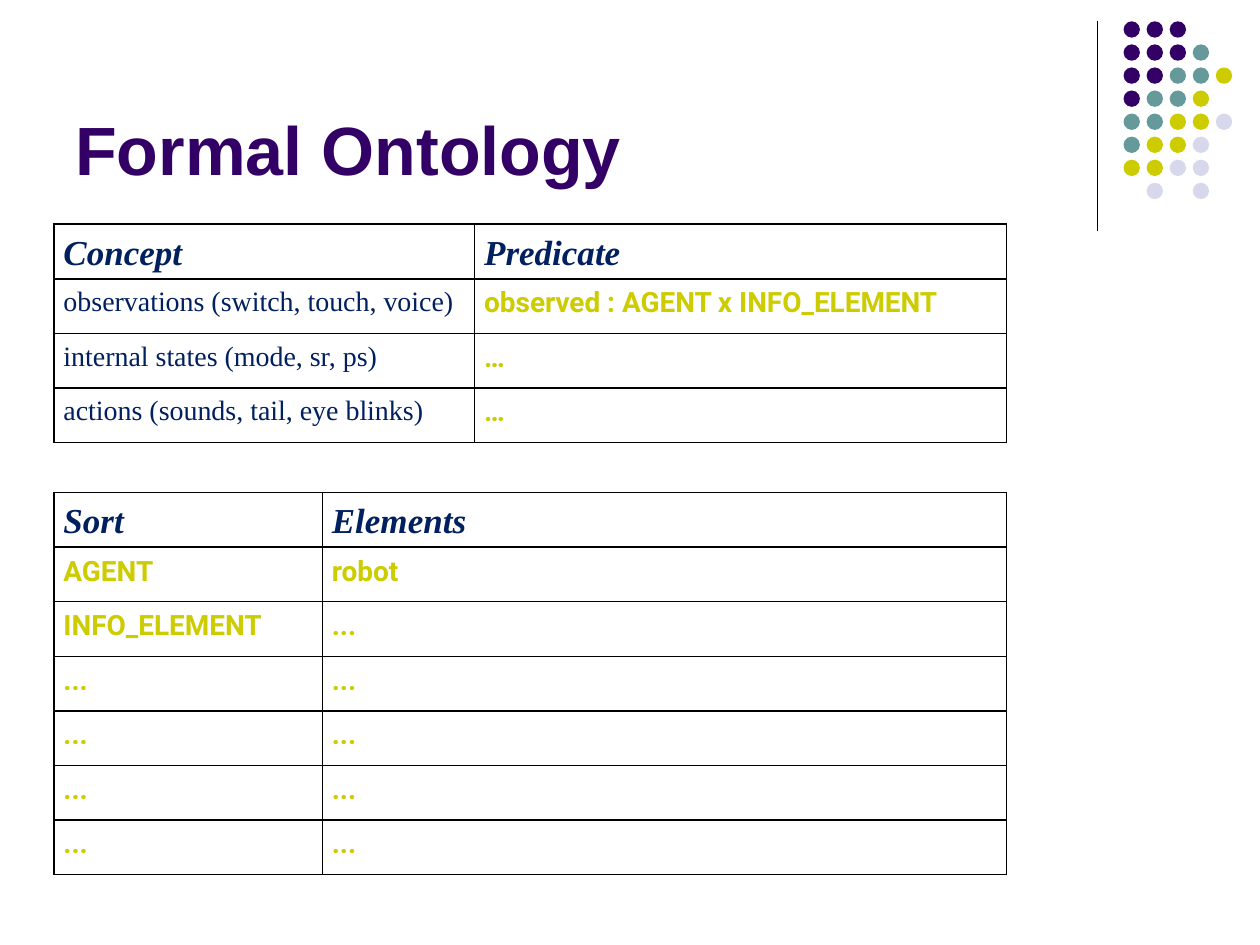
from lxml.etree import SubElement
from pptx import Presentation
from pptx.dml.color import RGBColor
from pptx.enum.shapes import MSO_CONNECTOR, MSO_SHAPE
from pptx.enum.text import MSO_ANCHOR, PP_ALIGN
from pptx.oxml.ns import qn
from pptx.util import Cm, Pt

PURPLE = RGBColor(0x33, 0x00, 0x66)
TEAL = RGBColor(0x66, 0x99, 0x99)
LIME = RGBColor(0xCC, 0xCC, 0x00)
LAVENDER = RGBColor(0xD8, 0xD8, 0xEC)
NAVY = RGBColor(0x00, 0x20, 0x60)
BLACK = RGBColor(0x00, 0x00, 0x00)

HEADING = {"name": "Times New Roman", "size": Pt(20), "bold": True, "italic": True}
PLAIN = {"name": "Times New Roman", "size": Pt(16), "bold": False, "italic": False}
FORMAL = {"name": "Roboto", "size": Pt(16), "bold": True, "italic": False}
TITLE = {"name": "Arial", "size": Pt(39), "bold": True}


def write(para, text, font_values, color):
    span = para.add_run()
    span.text = text
    for name, value in font_values.items():
        setattr(span.font, name, value)
    span.font.color.rgb = color


def add_borders(cell):
    """Draw a 1 pt black line on all four sides, ahead of the cell's fill."""
    properties = cell._tc.get_or_add_tcPr()
    for position, side in enumerate(("lnL", "lnR", "lnT", "lnB")):
        line = SubElement(properties, qn(f"a:{side}"), w=str(Pt(1)))
        fill = SubElement(line, qn("a:solidFill"))
        SubElement(fill, qn("a:srgbClr"), val=str(BLACK))
        properties.insert(position, line)


deck = Presentation()
deck.slide_width, deck.slide_height = Cm(25.4), Cm(19.05)
slide = deck.slides.add_slide(deck.slide_layouts[6])
shapes = slide.shapes

# Corner decoration: a rule and a grid of dots
rule = shapes.add_connector(MSO_CONNECTOR.STRAIGHT, Cm(22.12), Cm(0.43), Cm(22.12), Cm(4.65))
rule.line.color.rgb = BLACK
rule.line.width = Pt(0.75)
SubElement(rule._element.spPr, qn("a:effectLst"))

dot_colors = {"P": PURPLE, "T": TEAL, "L": LIME, "V": LAVENDER}
dot_rows = ["PPP", "PPPT", "PPTTL", "PTTL", "TTLLV", "TLLV", "LLVV", " V V"]
dot_pitch = Cm(1.86) // 4
for row, codes in enumerate(dot_rows):
    for column, code in enumerate(codes):
        if code not in dot_colors:
            continue
        dot = shapes.add_shape(
            MSO_SHAPE.OVAL,
            Cm(22.65) + column * dot_pitch, Cm(0.43) + row * dot_pitch,
            Cm(0.33), Cm(0.33),
        )
        dot.shadow.inherit = False
        dot.fill.solid()
        dot.fill.fore_color.rgb = dot_colors[code]
        dot.line.fill.background()

# Title
title_box = shapes.add_textbox(Cm(1.27), Cm(0.33), Cm(20.96), Cm(3.61))
title_box.text_frame.word_wrap = True
title_box.text_frame.vertical_anchor = MSO_ANCHOR.BOTTOM
write(title_box.text_frame.paragraphs[0], "Formal Ontology", TITLE, PURPLE)

# Tables: top, column widths, body style and alignment of each column, rows
LEFT, JUSTIFY = PP_ALIGN.LEFT, PP_ALIGN.JUSTIFY
tables = [
    (Cm(4.52), (Cm(8.48), Cm(10.72)), ((PLAIN, NAVY), (FORMAL, LIME)), (LEFT, LEFT), [
        ("Concept", "Predicate"),
        ("observations (switch, touch, voice)", "observed : AGENT x INFO_ELEMENT"),
        ("internal states (mode, sr, ps)", "…"),
        ("actions (sounds, tail, eye blinks)", "…"),
    ]),
    (Cm(9.93), (Cm(5.41), Cm(13.79)), ((FORMAL, LIME),) * 2, (LEFT, JUSTIFY), [
        ("Sort", "Elements"),
        ("AGENT", "robot"),
        ("INFO_ELEMENT", "..."),
    ] + [("...", "...")] * 4),
]
row_height = Cm(1.1)
cell_format = {
    "margin_left": Cm(0.19), "margin_right": Cm(0.19),
    "margin_top": 0, "margin_bottom": 0,
    "vertical_anchor": MSO_ANCHOR.TOP,
}
for top, widths, body_styles, alignments, rows in tables:
    table = shapes.add_table(
        len(rows), len(widths), Cm(1.09), top, sum(widths), row_height * len(rows)
    ).table
    for column, width in enumerate(widths):
        table.columns[column].width = width
    for row, texts in enumerate(rows):
        table.rows[row].height = row_height
        for column, text in enumerate(texts):
            cell = table.cell(row, column)
            for name, value in cell_format.items():
                setattr(cell, name, value)
            cell.fill.background()
            add_borders(cell)
            para = cell.text_frame.paragraphs[0]
            para.line_spacing = 1.25
            para.alignment = alignments[column]
            style, color = body_styles[column] if row else (HEADING, NAVY)
            write(para, text, style, color)

deck.save("out.pptx")
